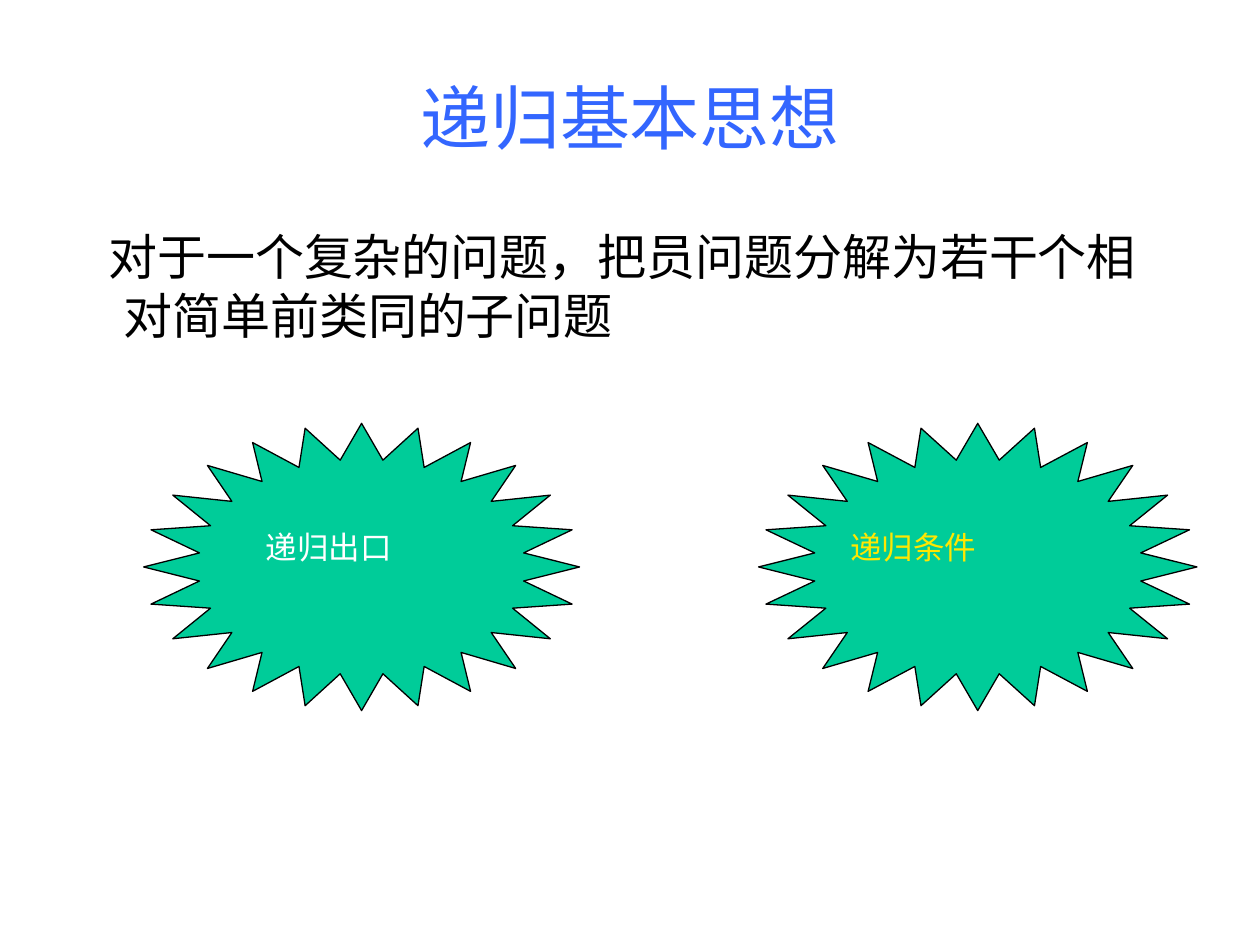
from pptx import Presentation
from pptx.dml.color import RGBColor
from pptx.enum.shapes import MSO_SHAPE
from pptx.enum.text import MSO_ANCHOR, PP_ALIGN
from pptx.oxml.ns import qn
from pptx.util import Inches, Pt

FONT = "Noto Sans CJK SC"
BLUE = RGBColor(0x33, 0x66, 0xFF)
BLACK = RGBColor(0x00, 0x00, 0x00)
GREEN = RGBColor(0x00, 0xCC, 0x99)
WHITE = RGBColor(0xFF, 0xFF, 0xFF)
YELLOW = RGBColor(0xFF, 0xE7, 0x01)
STAR = MSO_SHAPE.STAR_24_POINT
MIDDLE, TOP = MSO_ANCHOR.MIDDLE, MSO_ANCHOR.TOP
CENTER, LEFT = PP_ALIGN.CENTER, PP_ALIGN.LEFT


def place(shape, left, top, width, height):
    shape.left, shape.top = Inches(left), Inches(top)
    shape.width, shape.height = Inches(width), Inches(height)


def write(paragraph, text, size, color, align):
    """Add one run, with the font set for Latin and Chinese characters alike."""
    paragraph.alignment = align
    run = paragraph.add_run()
    run.text = text
    run.font.name = FONT
    run.font.size = Pt(size)
    run.font.color.rgb = color
    east_asian = run.font._element.makeelement(qn("a:ea"), {"typeface": FONT})
    run.font._element.find(qn("a:latin")).addnext(east_asian)


prs = Presentation()
prs.slide_width, prs.slide_height = Inches(10), Inches(7.5)
slide = prs.slides.add_slide(prs.slide_layouts[1])

title = slide.shapes.title
place(title, 0.5, 0.3, 9, 1.25)
title.text_frame.vertical_anchor = MIDDLE
write(title.text_frame.paragraphs[0], "递归基本思想", 40, BLUE, CENTER)

body = slide.placeholders[1]
place(body, 0.5, 1.75, 9, 4.95)
body.text_frame.vertical_anchor = TOP
idea = body.text_frame.paragraphs[0]
properties = idea._p.get_or_add_pPr()
properties.set("marL", str(Inches(0.38)))
properties.set("indent", str(Inches(-0.12)))
properties.append(properties.makeelement(qn("a:buNone"), {}))
idea.space_before = Pt(0)
write(idea, "对于一个复杂的问题，把员问题分解为若干个相对简单前类同的子问题",
      28, BLACK, LEFT)

for left, width in ((1.14, 3.46), (6.02, 3.48)):
    star = slide.shapes.add_shape(
        STAR, Inches(left), Inches(3.36), Inches(width), Inches(2.28))
    star.shadow.inherit = False
    star.fill.solid()
    star.fill.fore_color.rgb = GREEN
    star.line.color.rgb = BLACK
    star.line.width = Pt(0.75)

for text, left, color in (("递归出口", 2.01, WHITE), ("递归条件", 6.65, YELLOW)):
    label = slide.shapes.add_textbox(
        Inches(left), Inches(4.14), Inches(2), Inches(0.57))
    label.text_frame.word_wrap = False
    write(label.text_frame.paragraphs[0], text, 18, color, LEFT)

prs.save("out.pptx")
